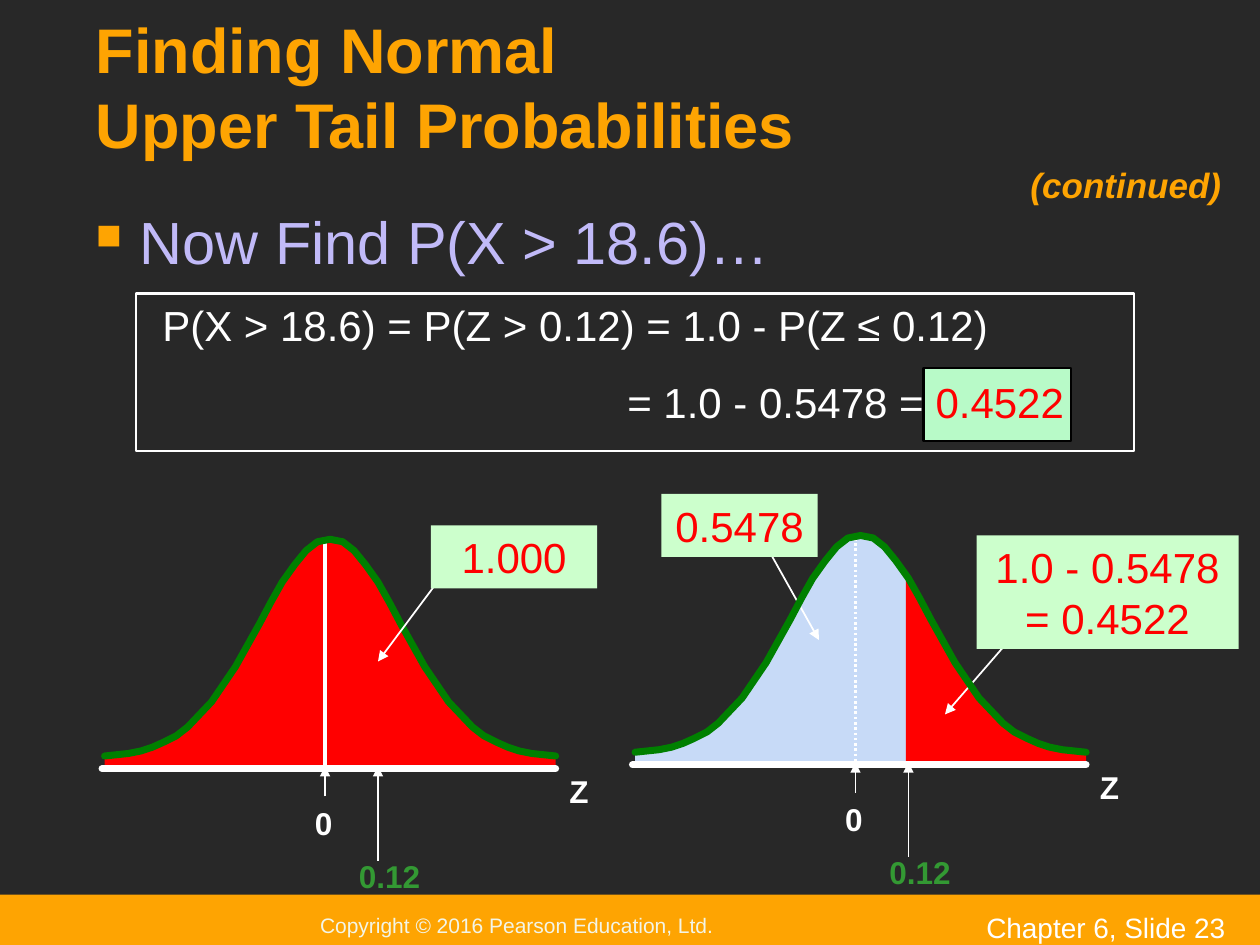
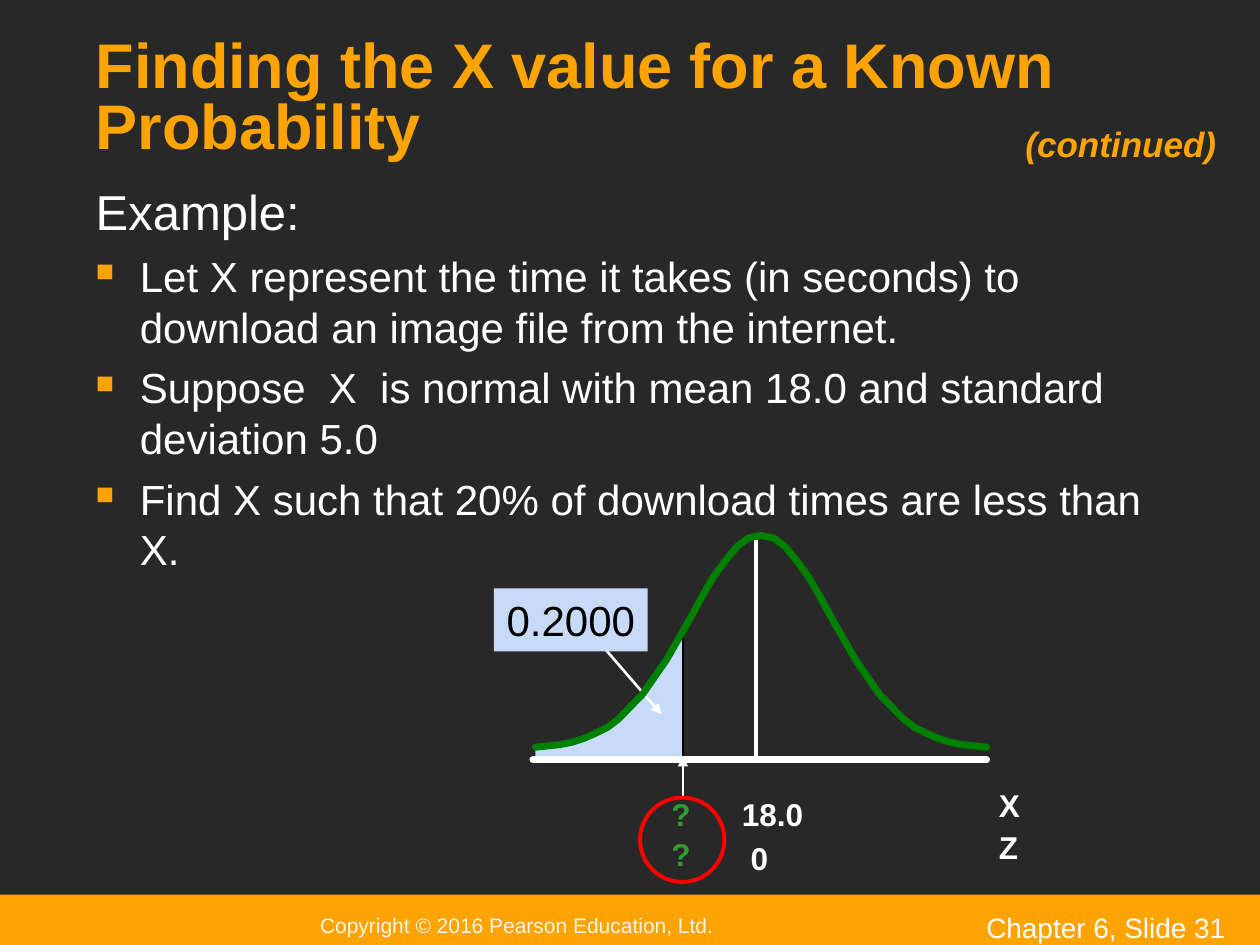
from dataclasses import dataclass

from pptx import Presentation
from pptx.dml.color import RGBColor
from pptx.enum.dml import MSO_LINE
from pptx.enum.shapes import MSO_CONNECTOR, MSO_SHAPE
from pptx.enum.text import MSO_ANCHOR as ANCHOR, PP_ALIGN as ALIGN
from pptx.oxml.ns import qn
from pptx.util import Inches, Pt
from lxml.etree import SubElement

FONT = "Arial"
COLORS = {
    "background": "282828", "accent": "FEA402", "copyright": "F3F5E7",
    "white": "FFFFFF", "black": "000000", "lavender": "C1BAF8",
    "blue_area": "C7DAF7", "red": "FF0000", "curve": "008000",
    "z_value": "339933", "callout": "CCFFCC", "result": "B8FAC8",
}
HALF_BELL = [
    (0, 0), (0.1, 0.02), (0.19, 0.09), (0.28, 0.2), (0.38, 0.34), (0.47, 0.5),
    (0.56, 0.67), (0.75, 1.01), (0.94, 1.29), (1.13, 1.49), (1.22, 1.56),
    (1.32, 1.61), (1.41, 1.65), (1.5, 1.68), (1.6, 1.7), (1.79, 1.72),
]
HALF_WIDTH, BELL_HEIGHT = HALF_BELL[-1]


@dataclass
class Bell:
    """A normal curve placed by its peak and height in inches."""
    center: float
    top: float
    height: float = BELL_HEIGHT

    @property
    def mean(self):
        """Return the x of the mean line."""
        return self.center - 0.04

    @property
    def left(self):
        """Return the left end of the curve."""
        return self.center - HALF_WIDTH

    @property
    def right(self):
        """Return the right end of the curve."""
        return self.center + HALF_WIDTH

    @property
    def base(self):
        """Return the y of the axis."""
        return self.top + self.height + 0.1

    def points(self):
        """Return the curve from left to right."""
        stretch = self.height / BELL_HEIGHT
        offsets = [(-dx, dy) for dx, dy in reversed(HALF_BELL)] + HALF_BELL[1:]
        return [(self.center + dx, self.top + dy * stretch) for dx, dy in offsets]

    def y_at(self, x):
        """Return the height of the curve at x by interpolation."""
        points = self.points()
        for (x1, y1), (x2, y2) in zip(points, points[1:]):
            if x1 <= x <= x2:
                return y1 + (y2 - y1) * (x - x1) / (x2 - x1)
        return points[-1][1]

    def area(self, start, end):
        """Return the outline of the area under the curve between two x values."""
        inner = [point for point in self.points() if start < point[0] < end]
        return [(start, self.base), (start, self.y_at(start)), *inner,
                (end, self.y_at(end)), (end, self.base)]


def rgb(color):
    """Return the named colour."""
    return RGBColor.from_string(COLORS[color])


def style_shape(shape, fill=None, line=None, width=1):
    """Set fill and outline and drop the shadow."""
    shape.shadow.inherit = False
    if fill:
        shape.fill.solid()
        shape.fill.fore_color.rgb = rgb(fill)
    else:
        shape.fill.background()
    if line:
        shape.line.color.rgb = rgb(line)
        shape.line.width = Pt(width)
    else:
        shape.line.fill.background()
    return shape


def add_box(slide, box, fill=None, line=None, width=1, kind=MSO_SHAPE.RECTANGLE):
    """Add a preset shape."""
    shape = slide.shapes.add_shape(kind, *map(Inches, box))
    return style_shape(shape, fill, line, width)


def style_font(font, size, color, bold=False, italic=False):
    """Set the look of a font."""
    font.name, font.size, font.bold, font.italic = FONT, Pt(size), bold, italic
    font.color.rgb = rgb(color)


def write(shape, text, size, color, bold=False, italic=False,
          align=ALIGN.LEFT, anchor=ANCHOR.TOP, insets=(0.1, 0.05)):
    """Write one paragraph into a shape and return it."""
    frame = shape.text_frame
    frame.word_wrap = True
    frame.vertical_anchor = anchor
    frame.margin_left = frame.margin_right = Inches(insets[0])
    frame.margin_top = frame.margin_bottom = Inches(insets[1])
    paragraph = frame.paragraphs[0]
    paragraph.text = text
    paragraph.alignment = align
    style_font(paragraph.font, size, color, bold, italic)
    return paragraph


def add_text(slide, box, text, size, color, **look):
    """Add a text box with one paragraph."""
    return write(slide.shapes.add_textbox(*map(Inches, box)), text, size, color, **look)


def add_list(slide, box, items):
    """Add a list of (text, size, colour, space before, bulleted) items."""
    frame = slide.shapes.add_textbox(*map(Inches, box)).text_frame
    frame.word_wrap = True
    frame.margin_left = frame.margin_right = Inches(0.09)
    for number, (text, size, color, space, bulleted) in enumerate(items):
        paragraph = frame.add_paragraph() if number else frame.paragraphs[0]
        paragraph.text = text
        properties = paragraph._p.get_or_add_pPr()
        properties.set("marL", str(Inches(0.35)))
        properties.set("indent", str(-Inches(0.35)))
        if bulleted:
            bullet_color = SubElement(properties, qn("a:buClr"))
            SubElement(bullet_color, qn("a:srgbClr"), val=COLORS["accent"])
            SubElement(properties, qn("a:buSzPct"), val="60000")
            SubElement(properties, qn("a:buChar"), char="■")
        if number:
            paragraph.space_before = Pt(space)
        style_font(paragraph.font, size, color)


def add_line(slide, start, end, color="white", width=1, arrow=False, dash=None):
    """Add a straight line, with an arrowhead at its end if asked."""
    line = slide.shapes.add_connector(
        MSO_CONNECTOR.STRAIGHT, *map(Inches, (*start, *end)))
    line.line.color.rgb = rgb(color)
    line.line.width = Pt(width)
    if dash:
        line.line.dash_style = dash
    if arrow:
        SubElement(line.line._get_or_add_ln(), qn("a:tailEnd"), type="triangle")
    SubElement(line._element.spPr, qn("a:effectLst"))
    return line


def add_outline(slide, points, close=True, **look):
    """Add a freeform through points in inches."""
    (x, y), *rest = [(Inches(px), Inches(py)) for px, py in points]
    builder = slide.shapes.build_freeform(x, y)
    builder.add_line_segments(rest, close=close)
    return style_shape(builder.convert_to_shape(), **look)


def add_curve(slide, bell, mean_width, mean_dash=None):
    """Draw the mean line, the curve and the axis of a bell."""
    add_line(slide, (bell.mean, bell.top + 0.02), (bell.mean, bell.base),
             width=mean_width, dash=mean_dash)
    curve = add_outline(slide, bell.points(), close=False, line="curve", width=4)
    axis = add_line(slide, (bell.left - 0.02, bell.base), (bell.right, bell.base), width=4)
    for stroke in (curve, axis):
        stroke.line._get_or_add_ln().set("cap", "rnd")


def add_callout(slide, box, text, fill="callout", color="red"):
    """Add a filled label for a probability."""
    write(add_box(slide, box, fill), text, 24, color, align=ALIGN.CENTER)


def add_label(slide, left, top, text, color="white"):
    """Add a bold axis label."""
    add_text(slide, (left, top, 0.75, 0.4), text, 18, color, bold=True)


def add_tick(slide, x, base, bottom):
    """Add an arrow that points up to the axis."""
    add_line(slide, (x, bottom), (x, base), arrow=True)


def start_slide(deck, title, number, continued, spacing=None):
    """Add a slide with background, footer, title and continuation mark."""
    slide = deck.slides.add_slide(deck.slide_layouts[6])
    slide.background.fill.solid()
    slide.background.fill.fore_color.rgb = rgb("background")
    footer = add_box(slide, (0, 7.1, 10, 0.49), "accent")
    write(footer, "Copyright © 2016 Pearson Education, Ltd.", 12, "copyright",
          anchor=ANCHOR.MIDDLE, insets=(2.54, 0))
    add_text(slide, (7.73, 7.18, 2.33, 0.26), f"Chapter 6, Slide {number}", 16, "white")
    heading = add_text(slide, (0.67, 0.25, 8.67, 1.08), title, 36, "accent",
                       bold=True, anchor=ANCHOR.BOTTOM, insets=(0.09, 0.05))
    if spacing:
        heading.line_spacing = spacing
    add_text(slide, (*continued, 1.79, 0.44), "(continued)", 20, "accent",
             bold=True, italic=True)
    return slide


def add_formula(slide):
    """Add the framed calculation with its marked result."""
    add_box(slide, (7.33, 2.92, 1.17, 0.58), "result", "black", 1.5)
    steps = slide.shapes.add_textbox(*map(Inches, (0.92, 2.33, 8.42, 1.11)))
    first = write(steps, "P(X > 18.6) = P(Z > 0.12) = 1.0 - P(Z ≤ 0.12)", 24, "white")
    first._p.get_or_add_pPr().set("marL", str(Inches(0.27)))
    second = steps.text_frame.add_paragraph()
    second._p.get_or_add_pPr().set("marL", str(Inches(3.96)))
    second.space_before = Pt(15)
    for text, color in (("= 1.0 - 0.5478 = ", "white"), ("0.4522", "red")):
        run = second.add_run()
        run.text = text
        style_font(run.font, 24, color)
    add_box(slide, (1.08, 2.33, 7.92, 1.25), line="white", width=1.5)


def build_upper_tail(deck):
    """Build the slide on upper tail probabilities."""
    slide = start_slide(deck, "Finding Normal\vUpper Tail Probabilities", 23, (8.08, 1.25))
    add_list(slide, (0.67, 1.58, 8.83, 0.7),
             [("Now Find P(X > 18.6)…", 34, "lavender", 0, True)])
    add_formula(slide)

    whole, split = Bell(2.62, 4.28), Bell(6.83, 4.25)
    cut = 7.19
    add_outline(slide, whole.area(whole.left, whole.right), fill="red")
    add_curve(slide, whole, 2.5)
    add_line(slide, (3.5, 4.58), (3, 5.25), arrow=True)
    add_callout(slide, (3.42, 4.17, 1.32, 0.5), "1.000")

    add_outline(slide, split.area(split.left, cut), fill="blue_area")
    add_outline(slide, split.area(cut, split.right), fill="red")
    add_line(slide, (8.08, 5), (7.5, 5.67), arrow=True)
    add_line(slide, (6.08, 4.33), (6.5, 5.08), arrow=True)
    add_curve(slide, split, 1.5, MSO_LINE.ROUND_DOT)
    add_callout(slide, (5.25, 3.92, 1.24, 0.5), "0.5478")
    add_callout(slide, (7.75, 4.25, 2.08, 0.9), "1.0 - 0.5478 = 0.4522")

    for bell in (whole, split):
        add_tick(slide, bell.mean, bell.base - 0.02, bell.base + 0.22)
        add_tick(slide, bell.mean + 0.42, bell.base - 0.02, bell.base + 0.73)
        add_label(slide, bell.mean - 0.18, bell.base + 0.23, "0")
        add_label(slide, bell.mean + 0.17, bell.base + 0.65, "0.12", "z_value")
        add_label(slide, bell.right + 0.01, bell.base - 0.02, "Z")


def build_known_probability(deck):
    """Build the slide on finding X for a known probability."""
    slide = start_slide(deck, "Finding the X value for a Known Probability", 31,
                        (8.04, 0.92), spacing=0.8)
    facts = (
        "Let X represent the time it takes (in seconds) to download an image file "
        "from the internet.",
        "Suppose  X  is normal with mean 18.0 and standard deviation 5.0",
        "Find X such that 20% of download times are less than X.",
    )
    add_list(slide, (0.67, 1.39, 8.83, 3.3),
             [("Example:", 28, "white", 0, False)]
             + [(fact, 24, "white", 6, True) for fact in facts])

    bell = Bell(6.04, 4.25, 1.68)
    cut = 5.42
    add_outline(slide, bell.area(bell.left, cut), fill="blue_area")
    add_line(slide, (cut, 5.01), (cut, 6.01), "black")
    add_line(slide, (4.75, 5.09), (5.25, 5.67), width=1.5, arrow=True)
    add_curve(slide, bell, 2.5)
    add_callout(slide, (3.92, 4.67, 1.22, 0.5), "0.2000", "blue_area", "black")
    add_tick(slide, cut, 6, 6.34)
    for left, top, text, color in (
        (5.23, 6.26, "?", "z_value"), (5.23, 6.58, "?", "z_value"),
        (5.79, 6.26, "18.0", "white"), (5.86, 6.61, "0", "white"),
        (7.83, 6.19, "X", "white"), (7.83, 6.52, "Z", "white"),
    ):
        add_label(slide, left, top, text, color)
    add_box(slide, (5.08, 6.33, 0.67, 0.67), line="red", width=2.25, kind=MSO_SHAPE.OVAL)


def main():
    """Build and save the deck."""
    deck = Presentation()
    deck.slide_width, deck.slide_height = Inches(10), Inches(7.5)
    build_upper_tail(deck)
    build_known_probability(deck)
    deck.save("out.pptx")


if __name__ == "__main__":
    main()
